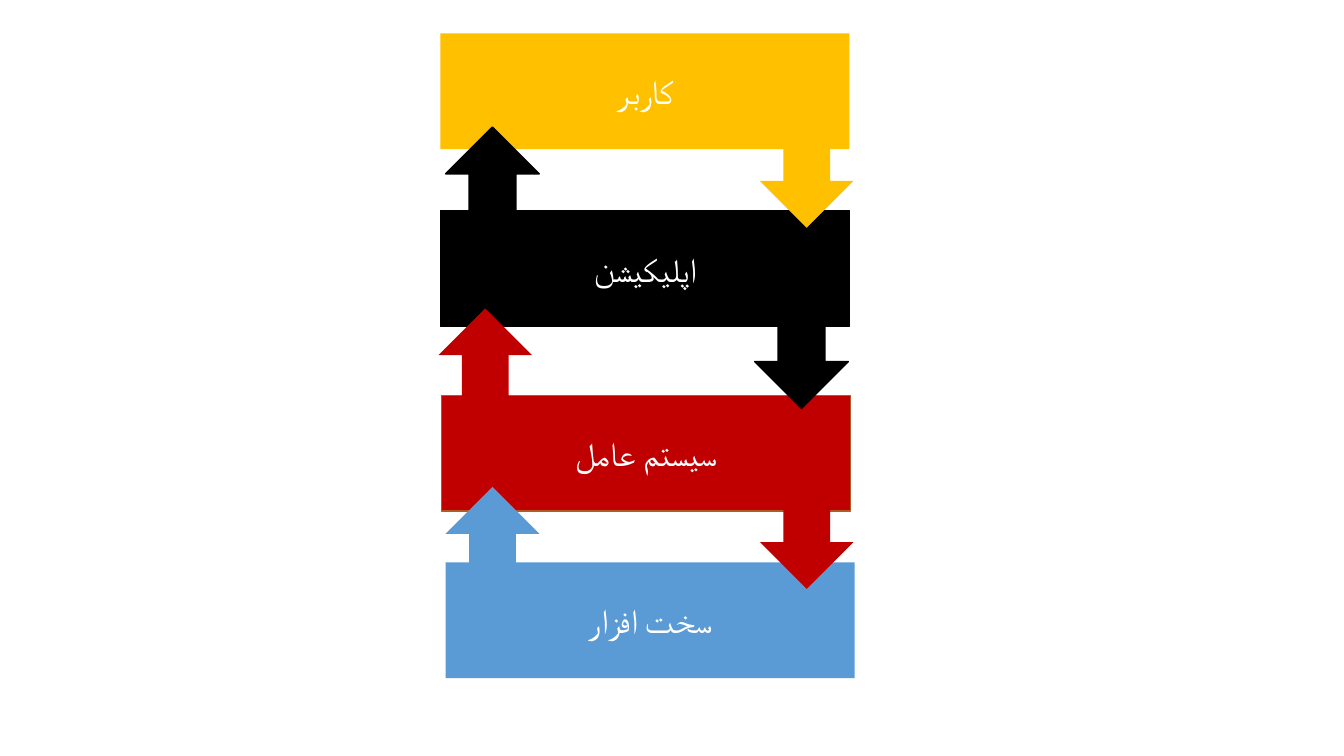
from dataclasses import dataclass
from typing import Optional

from pptx import Presentation
from pptx.dml.color import RGBColor as Rgb
from pptx.enum.shapes import MSO_SHAPE as Preset
from pptx.enum.text import MSO_ANCHOR as Anchor, PP_ALIGN as Align
from pptx.shapes.autoshape import Shape
from pptx.slide import Slide
from pptx.util import Cm, Pt


@dataclass(frozen=True)
class Theme:
    """Colours, fonts and sizes of the slide."""
    user: Rgb = Rgb(0xFF, 0xC0, 0x00)
    application: Rgb = Rgb(0x00, 0x00, 0x00)
    system: Rgb = Rgb(0xC0, 0x00, 0x00)
    system_edge: Rgb = Rgb(0xAF, 0x5C, 0x24)
    hardware: Rgb = Rgb(0x5B, 0x9B, 0xD5)
    label: Rgb = Rgb(0xFF, 0xFF, 0xFF)
    font: str = "Noto Sans Mono"
    application_font: str = "Roboto Condensed"
    label_size: Pt = Pt(24)
    edge_width: Pt = Pt(1)


@dataclass(frozen=True)
class Arrow:
    """Position of an arrow leaving a layer."""
    left: float
    top: float


@dataclass(frozen=True)
class Layer:
    """One layer of the computer system, with its arrows to the neighbours."""
    label: str
    left: float
    top: float
    fill: Rgb
    edge: Optional[Rgb] = None
    arrow_edge: Optional[Rgb] = None
    font: str = Theme.font
    down: Optional[Arrow] = None
    up: Optional[Arrow] = None


THEME = Theme()
LAYER_WIDTH, LAYER_HEIGHT = Cm(10.31), Cm(2.92)
ARROW_WIDTH, ARROW_HEIGHT = Cm(2.36), Cm(2.67)

LAYERS = [
    Layer("کاربر", 11.1, 0.84, THEME.user, down=Arrow(19.15, 3.07)),
    Layer("اپلیکیشن", 11.1, 5.31, THEME.application,
          edge=THEME.application, arrow_edge=THEME.application,
          font=THEME.application_font,
          down=Arrow(19.02, 7.62), up=Arrow(11.23, 3.2)),
    Layer("سیستم عامل", 11.13, 9.96, THEME.system, edge=THEME.system_edge,
          down=Arrow(19.15, 12.17), up=Arrow(11.05, 7.77)),
    Layer("سخت افزار", 11.23, 14.17, THEME.hardware, up=Arrow(11.23, 12.27)),
]


def paint(shape: Shape, fill: Rgb, edge: Optional[Rgb]) -> None:
    """Give a shape a flat fill and an optional outline."""
    shape.shadow.inherit = False
    shape.fill.solid()
    shape.fill.fore_color.rgb = fill
    if edge is None:
        shape.line.fill.background()
    else:
        shape.line.color.rgb = edge
        shape.line.width = THEME.edge_width


def draw_layer(slide: Slide, layer: Layer) -> None:
    """Draw the labelled box of a layer."""
    box = slide.shapes.add_shape(Preset.RECTANGLE, Cm(layer.left), Cm(layer.top),
                                 LAYER_WIDTH, LAYER_HEIGHT)
    paint(box, layer.fill, layer.edge)
    box.text_frame.vertical_anchor = Anchor.MIDDLE
    label = box.text_frame.paragraphs[0]
    label.text = layer.label
    label.alignment = Align.CENTER
    label.font.name = layer.font
    label.font.size = THEME.label_size
    label.font.color.rgb = THEME.label


def draw_arrow(slide: Slide, arrow: Arrow, layer: Layer, rotation: int) -> None:
    """Draw an arrow in the colour of the layer it leaves."""
    shape = slide.shapes.add_shape(Preset.DOWN_ARROW, Cm(arrow.left), Cm(arrow.top),
                                   ARROW_WIDTH, ARROW_HEIGHT)
    shape.rotation = rotation
    paint(shape, layer.fill, layer.arrow_edge)


def main() -> None:
    """Build the slide and save it."""
    deck = Presentation()
    deck.slide_width, deck.slide_height = Cm(33.87), Cm(19.05)
    slide = deck.slides.add_slide(deck.slide_layouts[6])
    for layer in LAYERS:
        draw_layer(slide, layer)
    for layer in LAYERS:
        for arrow, rotation in ((layer.down, 0), (layer.up, 180)):
            if arrow is not None:
                draw_arrow(slide, arrow, layer, rotation)
    deck.save("out.pptx")


main()
